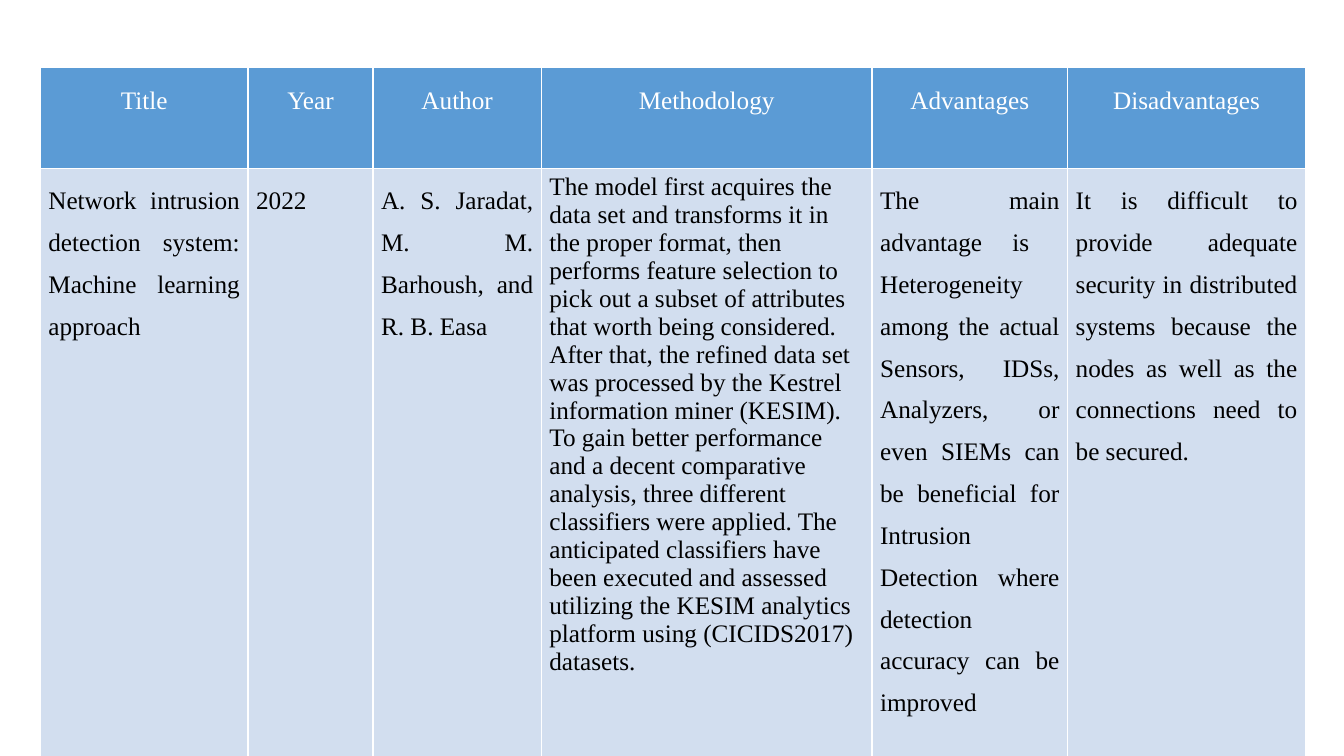
from pptx import Presentation
from pptx.dml.color import RGBColor
from pptx.enum.text import PP_ALIGN
from pptx.oxml import parse_xml
from pptx.oxml.ns import nsdecls
from pptx.util import Inches, Pt

CENTER, LEFT, JUSTIFY = PP_ALIGN.CENTER, PP_ALIGN.LEFT, PP_ALIGN.JUSTIFY

# Content: heading, column width, body text, body alignment
COLS = [
    ("Title", 2.06,
     "Network intrusion detection system: Machine learning approach", JUSTIFY),
    ("Year", 1.24, "2022", JUSTIFY),
    ("Author", 1.67, "A. S. Jaradat, M. M. Barhoush, and R. B. Easa", JUSTIFY),
    ("Methodology", 3.28,
     "The model first acquires the data set and transforms it in the proper "
     "format, then performs feature selection to pick out a subset of "
     "attributes that worth being considered. After that, the refined data "
     "set was processed by the Kestrel information miner (KESIM). To gain "
     "better performance and a decent comparative analysis, three different "
     "classifiers were applied. The anticipated classifiers have been "
     "executed and assessed utilizing the KESIM analytics platform using "
     "(CICIDS2017) datasets.", LEFT),
    ("Advantages", 1.94,
     "The main advantage is  Heterogeneity among the actual Sensors, IDSs, "
     "Analyzers, or even SIEMs can be beneficial for Intrusion Detection "
     "where detection accuracy can be improved", JUSTIFY),
    ("Disadvantages", 2.36,
     "It is difficult to provide adequate security in distributed systems "
     "because the nodes as well as the connections need to be secured.",
     JUSTIFY),
]
ROWS = [1, 6.35]
FONT, SIZE = "Times New Roman", 18
WHITE, BLACK, BLUE, PALE = "FFFFFF", "000000", "5B9BD5", "D2DEEF"


def color(code):
    return RGBColor.from_string(code)


def edge(cell, fill):
    """Fill a cell and rule its four sides in white."""
    props = cell._tc.get_or_add_tcPr()
    for side in "LRTB":
        props.append(parse_xml(
            f'<a:ln{side} {nsdecls("a")} w="{Pt(1)}"><a:solidFill>'
            f'<a:srgbClr val="{WHITE}"/></a:solidFill></a:ln{side}>'))
    cell.fill.solid()
    cell.fill.fore_color.rgb = color(fill)


def write(cell, text, align, ink):
    cell.margin_left = cell.margin_right = Inches(0.08)
    cell.margin_top = cell.margin_bottom = Inches(0.05)
    para = cell.text_frame.paragraphs[0]
    para.alignment = align
    para.line_spacing = 1.0 if align == LEFT else 1.5
    run = para.add_run()
    run.text = text
    run.font.name, run.font.size = FONT, Pt(SIZE)
    run.font.bold = False
    run.font.color.rgb = color(ink)


# Slide
deck = Presentation()
deck.slide_width, deck.slide_height = Inches(13.33), Inches(7.5)
slide = deck.slides.add_slide(deck.slide_layouts[6])

# Table
wide = sum(col[1] for col in COLS)
table = slide.shapes.add_table(
    len(ROWS), len(COLS), Inches(0.4), Inches(0.67),
    Inches(wide), Inches(sum(ROWS))).table
table.horz_banding = False
for row, high in zip(table.rows, ROWS):
    row.height = Inches(high)

for i, (head, width, body, align) in enumerate(COLS):
    table.columns[i].width = Inches(width)
    top, low = table.cell(0, i), table.cell(1, i)
    write(top, head, CENTER, WHITE)
    edge(top, BLUE)
    write(low, body, align, BLACK)
    edge(low, PALE)

deck.save("out.pptx")
